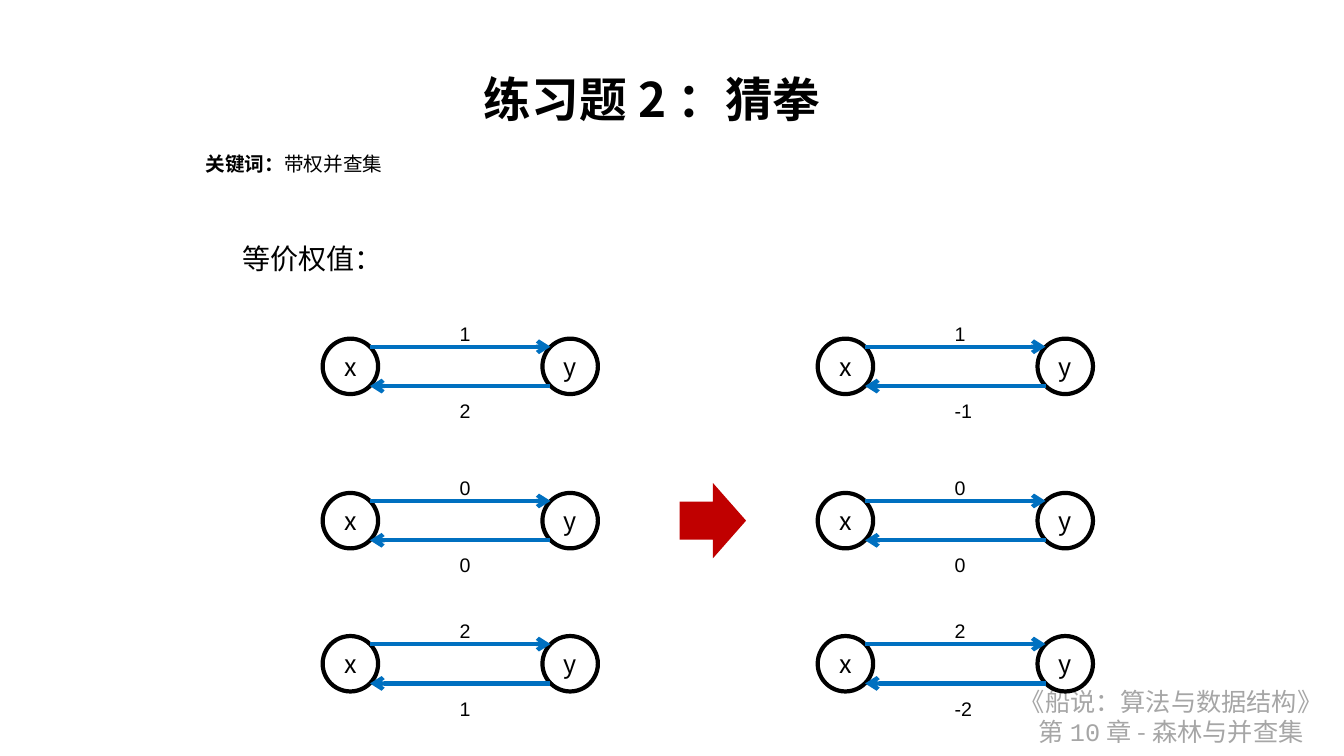
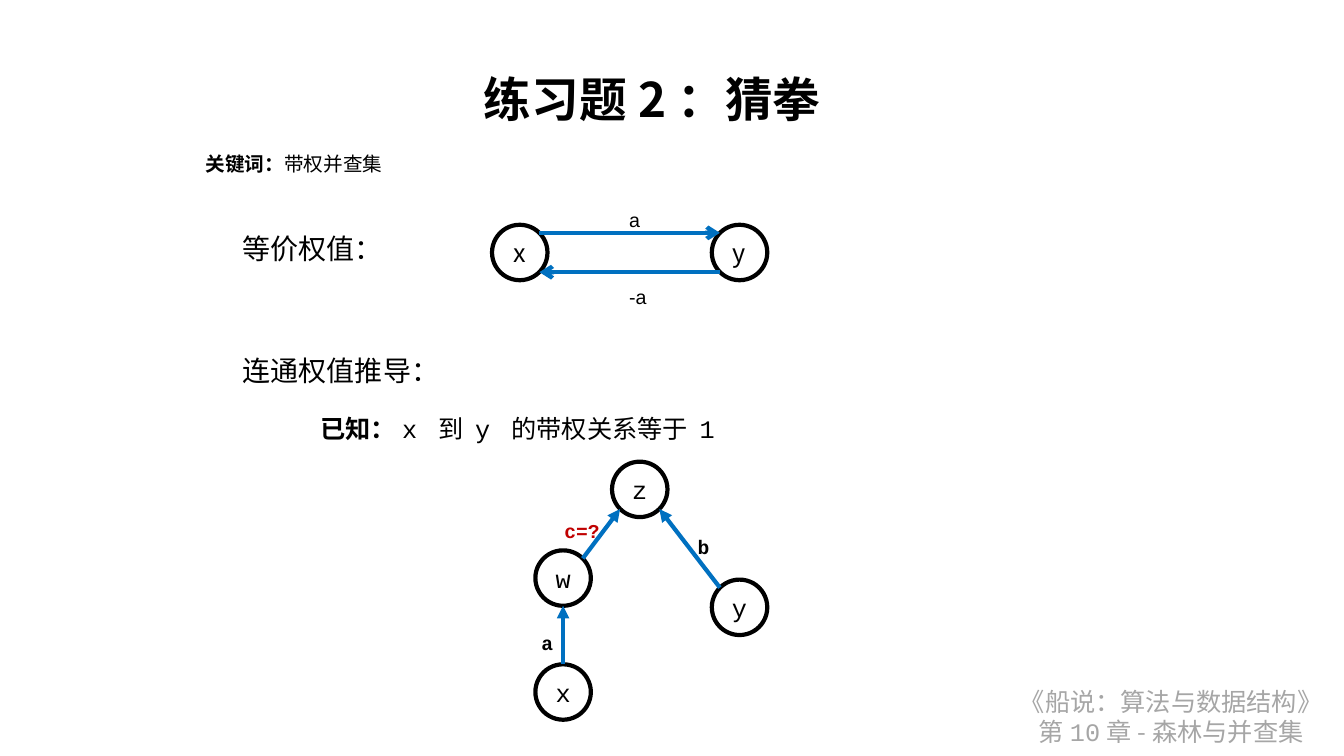
from lxml import etree
from pptx import Presentation
from pptx.dml.color import RGBColor
from pptx.enum.shapes import MSO_CONNECTOR as Connector, MSO_SHAPE as Shape
from pptx.enum.text import MSO_ANCHOR as Anchor, MSO_AUTO_SIZE as AutoSize, PP_ALIGN as Align
from pptx.oxml.ns import qn
from pptx.util import Inches, Pt

COLORS = {"ink": "000000", "edge": "0070C0", "accent": "C00000", "footer": "A6A6A6"}
CJK, SANS, MONO = "Noto Sans CJK SC", "Arial", "Courier New"
NODE = 0.55        # node diameter
NEAR, FAR = 0.08, 0.47  # where the diagonals cut a node's outline
PAIR_STEP = 2.18   # distance from x to y in a pair


def color(name):
    """Return a named colour of the deck."""
    return RGBColor.from_string(COLORS[name])


class Slides:
    """Shared style and the slide being drawn."""

    def __init__(self):
        """Start an empty widescreen deck."""
        self.deck = Presentation()
        self.deck.slide_width, self.deck.slide_height = Inches(13.33), Inches(7.5)
        self.page = None

    def new_page(self):
        """Add a slide with the shared footer, keyword line and title."""
        self.page = self.deck.slides.add_slide(self.deck.slide_layouts[5])
        self.text(10, 6.76, 3.23, 0.71,
                  [["《船说：算法与数据结构》"], ["第", ("10", {"font": MONO}), "章-森林与并查集"]],
                  ink="footer", align=Align.CENTER, spacing=None)
        self.text(1.94, 1.39, 1.97, 0.38, [[("关键词：", {"bold": True}), "带权并查集"]],
                  size=14, font=SANS)
        title = self.page.shapes.title
        title.left, title.top = Inches(4.7), Inches(0.6)
        title.width, title.height = Inches(4.29), Inches(0.75)
        frame = title.text_frame
        frame.auto_size, frame.vertical_anchor = AutoSize.NONE, Anchor.MIDDLE
        self.fill_para(frame.paragraphs[0], ["练习题2：猜拳"], 34, CJK, "ink", True, Align.JUSTIFY)

    def fill_para(self, para, spans, size, font, ink="ink", bold=False, align=None):
        """Write spans, plain or with font changes, into a styled paragraph."""
        para.alignment = align
        para.font.size, para.font.name, para.font.bold = Pt(size), font, bold
        para.font.color.rgb = color(ink)
        for item in spans:
            words, changes = (item, {}) if isinstance(item, str) else item
            span = para.add_run()
            span.text = words
            if "font" in changes:
                span.font.name = changes["font"]
            if "bold" in changes:
                span.font.bold = changes["bold"]
        for latin in list(para._p.iter(qn("a:latin"))):
            east_asian = etree.Element(qn("a:ea"), typeface=CJK)
            latin.addnext(east_asian)

    def text(self, left, top, width, height, paras, size=18, font=CJK, ink="ink",
             bold=False, align=None, spacing=1.3, wrap=False):
        """Add a text box that fits its text."""
        box = self.page.shapes.add_textbox(Inches(left), Inches(top), Inches(width), Inches(height))
        frame = box.text_frame
        frame.word_wrap, frame.auto_size = wrap, AutoSize.SHAPE_TO_FIT_TEXT
        for index, spans in enumerate(paras):
            para = frame.add_paragraph() if index else frame.paragraphs[0]
            para.line_spacing = spacing
            self.fill_para(para, spans, size, font, ink, bold, align)

    def heading(self, top, words):
        """Add a section heading."""
        self.text(2.31, top, 0.2 + 0.28 * (len(words) - 1) + 0.28, 0.48, [[words]], size=20)

    def node(self, left, top, name, font=CJK):
        """Add a round graph node."""
        circle = self.page.shapes.add_shape(Shape.OVAL, Inches(left), Inches(top),
                                            Inches(NODE), Inches(NODE))
        circle.shadow.inherit = False
        circle.fill.background()
        circle.line.color.rgb, circle.line.width = color("ink"), Pt(3)
        circle.text_frame.vertical_anchor = Anchor.MIDDLE
        self.fill_para(circle.text_frame.paragraphs[0], [name], 18, font, align=Align.CENTER)

    def arrow(self, start, end, head="triangle"):
        """Add an arrow between two points."""
        points = [Inches(value) for value in (*start, *end)]
        line = self.page.shapes.add_connector(Connector.STRAIGHT, *points)
        line.line.color.rgb, line.line.width = color("edge"), Pt(3)
        etree.SubElement(line.line._get_or_add_ln(), qn("a:tailEnd"), type=head)
        etree.SubElement(line._element.spPr, qn("a:effectLst"))

    def pair(self, left, top, there, back):
        """Add nodes x and y joined by weighted arrows both ways."""
        self.node(left, top, "x")
        self.node(left + PAIR_STEP, top, "y")
        from_x, from_y = left + FAR, left + PAIR_STEP + NEAR
        self.arrow((from_x, top + NEAR), (from_y, top + NEAR), "arrow")
        self.arrow((from_y, top + FAR), (from_x, top + FAR), "arrow")
        for weight, offset in ((there, -0.29), (back, 0.48)):
            self.text(left + 1.26, top + offset, 0.24 + 0.07 * len(weight), 0.38,
                      [[weight]], size=14, font=SANS)

    def block_arrow(self, left, top, width, height):
        """Add a solid arrow pointing right."""
        block = self.page.shapes.add_shape(Shape.RIGHT_ARROW, Inches(left), Inches(top),
                                           Inches(width), Inches(height))
        block.shadow.inherit = False
        block.fill.solid()
        block.fill.fore_color.rgb = color("accent")
        block.line.fill.background()


def weights_page(slides):
    """Show the weights modulo three beside their signed equivalents."""
    slides.new_page()
    slides.heading(2.25, "等价权值：")
    columns = {3.2: [("1", "2"), ("0", "0"), ("2", "1")],
               8.11: [("1", "-1"), ("0", "0"), ("2", "-2")]}
    for left, weights in columns.items():
        for top, (there, back) in zip((3.36, 4.89, 6.31), weights):
            slides.pair(left, top, there, back)
    slides.block_arrow(6.74, 4.79, 0.66, 0.75)


def derivation_page(slides):
    """Show how an unknown weight follows from a known relation."""
    slides.new_page()
    slides.heading(2.15, "等价权值：")
    slides.pair(4.88, 2.23, "a", "-a")
    slides.heading(3.36, "连通权值推导：")
    nodes = {"x": (5.31, 6.59), "y": (7.06, 5.75), "w": (5.31, 5.46), "z": (6.07, 4.58)}
    for name, (left, top) in nodes.items():
        slides.node(left, top, name, MONO)
    middle = NODE / 2
    edges = [("y", (NEAR, NEAR), "z", (FAR, FAR)),
             ("w", (FAR, NEAR), "z", (NEAR, FAR)),
             ("x", (middle, 0), "w", (middle, NODE))]
    for child, start, parent, end in edges:
        slides.arrow([a + b for a, b in zip(nodes[child], start)],
                     [a + b for a, b in zip(nodes[parent], end)])
    for left, top, label, ink in ((6.82, 5.19, "b", "ink"), (5.5, 5.03, "c=?", "accent"),
                                  (5.27, 6.14, "a", "ink")):
        slides.text(left, top, 0.2 + 0.12 * len(label), 0.39, [[label]],
                    size=14, font=MONO, ink=ink, bold=True)
    slides.text(3.08, 3.96, 4.13, 0.47,
                [[("已知：", {"bold": True}), "x 到 y 的带权关系等于 1"]], font=MONO, wrap=True)


slides = Slides()
weights_page(slides)
derivation_page(slides)
slides.deck.save("out.pptx")
